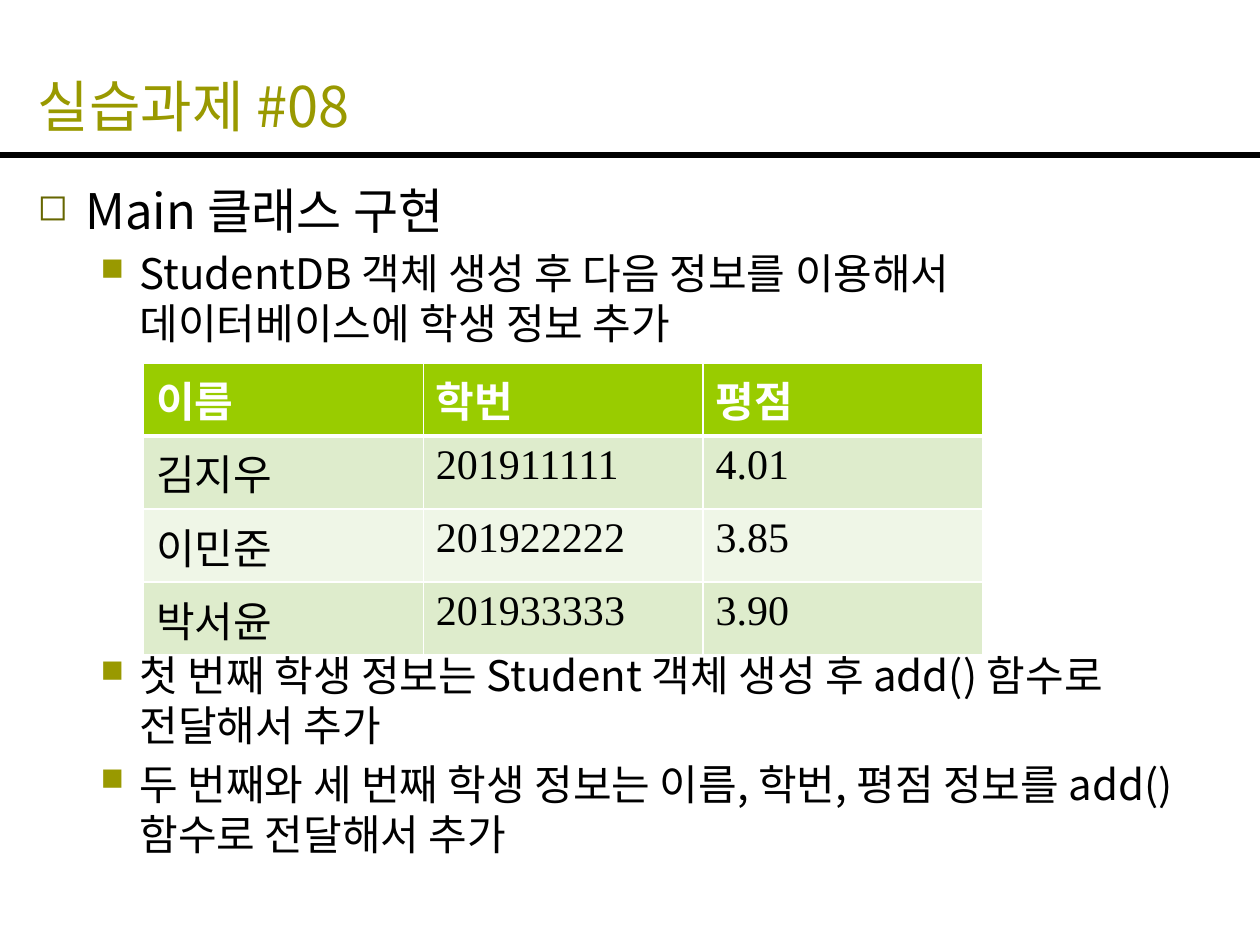
"""Build the class exercise slide with a student table."""
from lxml.etree import SubElement
from pptx import Presentation
from pptx.dml.color import RGBColor
from pptx.enum.shapes import MSO_CONNECTOR
from pptx.enum.text import MSO_ANCHOR, PP_ALIGN
from pptx.oxml.ns import qn
from pptx.util import Inches, Pt

KOREAN, LATIN = "Noto Sans CJK KR", "Times New Roman"
TITLE = "실습과제 #08"
TOP = dict(size=28, indent=0.38, hang=0.38, bullet="◻", color="666600")
SUB = dict(size=24, indent=0.81, hang=0.31, bullet="■", color="999900")
TABLE_GAP = 172.6
POINTS = [
    ("Main 클래스 구현", TOP, 3.3),
    ("StudentDB 객체 생성 후 다음 정보를 이용해서 데이터베이스에 학생 정보 추가", SUB, 4.8),
    ("첫 번째 학생 정보는 Student 객체 생성 후 add() 함수로 전달해서 추가", SUB, TABLE_GAP),
    ("두 번째와 세 번째 학생 정보는 이름, 학번, 평점 정보를 add() 함수로 전달해서 추가", SUB, 4.8),
]
STUDENTS = [
    ("이름", "학번", "평점"),
    ("김지우", "201911111", "4.01"),
    ("이민준", "201922222", "3.85"),
    ("박서윤", "201933333", "3.90"),
]
HEADER_FILL, BAND_FILLS = "99CC00", ("EFF6E7", "DEECCC")
COLUMN_WIDTH, ROW_HEIGHT = 2.22, 0.58


def rgb(value):
    """Return a colour from a hex string."""
    return RGBColor.from_string(value)


def style(paragraph, size, color, latin=KOREAN, bold=False):
    """Format every run of a paragraph."""
    for span in paragraph.runs:
        span.font.size, span.font.bold = Pt(size), bold
        span.font.name = latin
        span.font.color.rgb = rgb(color)
        SubElement(span.font._element, qn("a:ea"), typeface=KOREAN)


def add_bullet(paragraph, level):
    """Give a paragraph its hanging indent and coloured bullet."""
    properties = paragraph._p.get_or_add_pPr()
    properties.set("marL", str(Inches(level["indent"])))
    properties.set("indent", str(-Inches(level["hang"])))
    color = SubElement(properties, qn("a:buClr"))
    SubElement(color, qn("a:srgbClr"), val=level["color"])
    SubElement(properties, qn("a:buSzPct"), val="75000")
    SubElement(properties, qn("a:buChar"), char=level["bullet"])


def set_borders(cell, bottom):
    """Draw white cell borders with the given bottom width."""
    properties = cell._tc.get_or_add_tcPr()
    for index, (side, width) in enumerate((("L", 1), ("R", 1), ("T", 1), ("B", bottom))):
        line = properties.makeelement(qn(f"a:ln{side}"), {"w": str(Pt(width))})
        fill = SubElement(line, qn("a:solidFill"))
        SubElement(fill, qn("a:srgbClr"), val="FFFFFF")
        properties.insert(index, line)


deck = Presentation()
deck.slide_width, deck.slide_height = Inches(10), Inches(7.5)
page = deck.slides.add_slide(deck.slide_layouts[5])

rule = page.shapes.add_connector(
    MSO_CONNECTOR.STRAIGHT, 0, Inches(1.23), Inches(10), Inches(1.23))
rule.line.color.rgb, rule.line.width = rgb("000000"), Pt(3)
SubElement(rule._element.spPr, qn("a:effectLst"))

title = page.shapes.title
title.left, title.top = Inches(0.2), Inches(0.3)
title.width, title.height = Inches(9.61), Inches(0.85)
title.text_frame.text = TITLE
title.text_frame.vertical_anchor = MSO_ANCHOR.BOTTOM
heading = title.text_frame.paragraphs[0]
heading.alignment = PP_ALIGN.LEFT
heading.line_spacing = Pt(38)
style(heading, 32, "999900")

body = page.shapes.add_textbox(Inches(0.2), Inches(1.39), Inches(9.61), Inches(5.32))
body.text_frame.word_wrap = True
body.text_frame.text = "\n".join(text for text, level, gap in POINTS)
for paragraph, (text, level, gap) in zip(body.text_frame.paragraphs, POINTS):
    paragraph.space_before = Pt(gap)
    paragraph.line_spacing = Pt(round(level["size"] * 1.19, 1))
    add_bullet(paragraph, level)
    style(paragraph, level["size"], "000000")

frame = page.shapes.add_table(
    len(STUDENTS), len(STUDENTS[0]), Inches(1.14), Inches(2.88),
    Inches(COLUMN_WIDTH * len(STUDENTS[0])), Inches(ROW_HEIGHT * len(STUDENTS)))
for row, values in enumerate(STUDENTS):
    header = row == 0
    for column, value in enumerate(values):
        cell = frame.table.cell(row, column)
        cell.text_frame.text = value
        cell.fill.solid()
        cell.fill.fore_color.rgb = rgb(HEADER_FILL if header else BAND_FILLS[row % 2])
        set_borders(cell, 3 if header else 1)
        style(cell.text_frame.paragraphs[0], 24,
              "FFFFFF" if header else "000000", LATIN, header)

deck.save("out.pptx")
